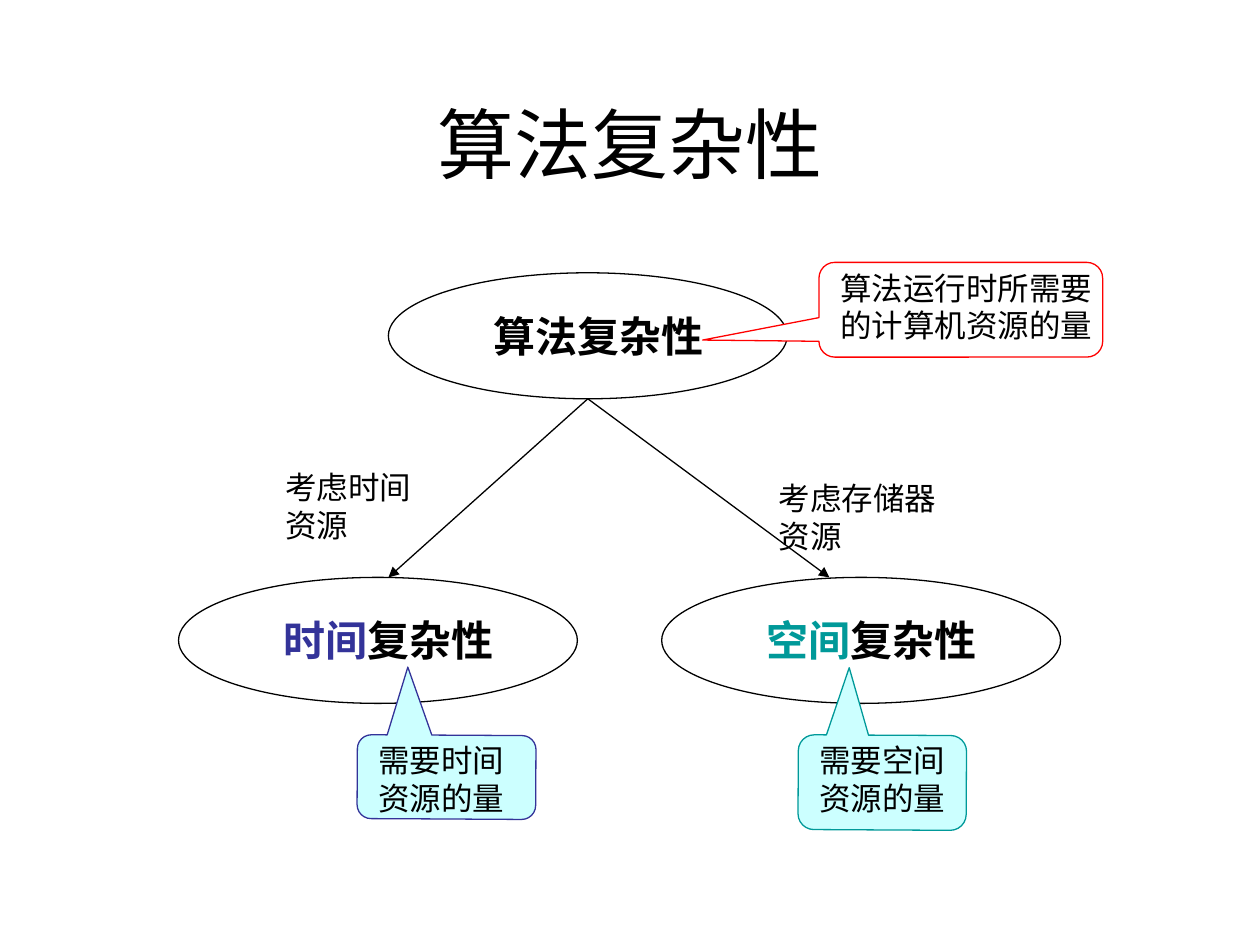
from dataclasses import dataclass

from lxml.etree import SubElement
from pptx import Presentation
from pptx.dml.color import RGBColor
from pptx.enum.shapes import MSO_CONNECTOR as Connector, MSO_SHAPE as Shape
from pptx.enum.text import MSO_ANCHOR as Anchor, PP_ALIGN as Align
from pptx.oxml.ns import qn
from pptx.util import Cm, Pt


@dataclass(frozen=True)
class Theme:
    font: str = "Arial"
    black: str = "000000"
    white: str = "FFFFFF"
    time: str = "333399"
    space: str = "009999"
    alert: str = "FF0000"
    pale: str = "CCFFFF"
    title_size: int = 44
    node_size: int = 24
    note_size: int = 18
    line_width: float = 0.75


THEME = Theme()
NODE_WIDTH, NODE_HEIGHT = 8.04, 2.54


def cm(*lengths):
    return [Cm(length) for length in lengths]


def write(frame, spans, size, align, bold=False):
    """Fill the first paragraph with (text, colour) spans."""
    frame.word_wrap = True
    para = frame.paragraphs[0]
    para.alignment = align
    for text, color in spans:
        span = para.add_run()
        span.text = text
        span.font.name = THEME.font
        span.font.size = Pt(size)
        span.font.bold = bold
        span.font.color.rgb = RGBColor.from_string(color)


def set_line(line, color):
    line.color.rgb = RGBColor.from_string(color)
    line.width = Pt(THEME.line_width)


def add_title(page, text):
    title = page.shapes.title
    title.left, title.top, title.width, title.height = cm(1.27, 0.76, 22.86, 3.18)
    title.text_frame.vertical_anchor = Anchor.BOTTOM
    write(title.text_frame, [(text, THEME.black)], THEME.title_size, Align.CENTER)


def add_text(page, place, spans, size=THEME.note_size, align=Align.CENTER, bold=False):
    box = page.shapes.add_textbox(*cm(*place))
    write(box.text_frame, spans, size, align, bold)


def add_node(page, left, top, spans):
    """Ellipse with a bold caption in its middle."""
    node = page.shapes.add_shape(Shape.OVAL, *cm(left, top, NODE_WIDTH, NODE_HEIGHT))
    node.shadow.inherit = False
    node.fill.background()
    set_line(node.line, THEME.black)
    place = (left + 1.48, top + 0.63, 5.51, 1.27)
    add_text(page, place, spans, THEME.node_size, bold=True)


def add_arrow(page, start, end):
    arrow = page.shapes.add_connector(Connector.STRAIGHT, *cm(*start, *end))
    set_line(arrow.line, THEME.black)
    SubElement(arrow.line._get_or_add_ln(), qn("a:tailEnd"), type="triangle")
    SubElement(arrow._element.spPr, qn("a:effectLst"))


def add_callout(page, place, pointer, text, text_width, fill, color, rotation=0):
    """Speech bubble with its text in a separate, unrotated box."""
    bubble = page.shapes.add_shape(Shape.ROUNDED_RECTANGULAR_CALLOUT, *cm(*place))
    bubble.shadow.inherit = False
    bubble.rotation = rotation
    bubble.adjustments[0], bubble.adjustments[1] = pointer
    bubble.fill.solid()
    bubble.fill.fore_color.rgb = RGBColor.from_string(fill)
    set_line(bubble.line, color)
    add_text(page, (*place[:2], text_width, 1.78), [(text, THEME.black)])


def main():
    deck = Presentation()
    deck.slide_width, deck.slide_height = cm(25.4, 19.05)
    page = deck.slides.add_slide(deck.slide_layouts[5])
    add_title(page, "算法复杂性")

    # Root of the tree
    root_left, root_top, branch_top = 7.83, 5.5, 11.64
    add_node(page, root_left, root_top, [("算法复杂性", THEME.black)])
    root_foot = (root_left + NODE_WIDTH / 2, root_top + NODE_HEIGHT)

    # Branches: node left, word, colour, arrow end, label place, label
    branches = [
        (3.6, "时间", THEME.time, 7.83, (5.5, 9.31, 3.6, 1.78), "考虑时间资源"),
        (13.34, "空间", THEME.space, 16.72, (15.45, 9.53, 4.23, 1.78), "考虑存储器资源"),
    ]
    for left, word, color, tip, place, label in branches:
        add_node(page, left, branch_top, [(word, color), ("复杂性", THEME.black)])
        add_arrow(page, root_foot, (tip, branch_top))
        add_text(page, place, [(label, THEME.black)], align=Align.LEFT)

    # Definitions
    add_callout(page, (7.2, 14.82, 3.6, 1.69), (0.22, 1.31), "需要时间资源的量",
                3.39, THEME.pale, THEME.time, rotation=180.3)
    add_callout(page, (16.09, 14.82, 3.39, 1.91), (0.2, 1.21), "需要空间资源的量",
                3.39, THEME.pale, THEME.space, rotation=180.3)
    add_callout(page, (16.51, 5.29, 5.72, 1.91), (-0.91, 0.32),
                "算法运行时所需要的计算机资源的量", 5.93, THEME.white, THEME.alert)

    deck.save("out.pptx")


if __name__ == "__main__":
    main()
